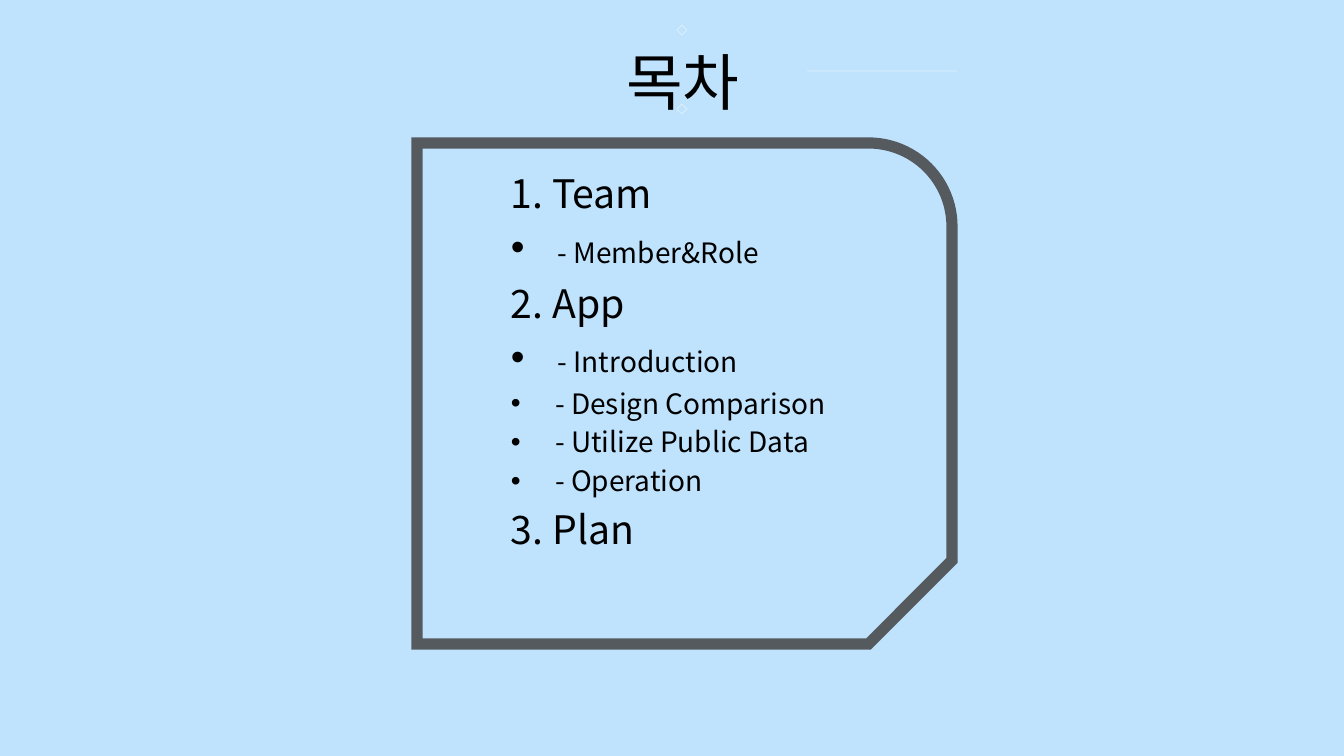
import dataclasses

import lxml.etree
import pptx
import pptx.dml.color
import pptx.enum.shapes
import pptx.enum.text
import pptx.oxml.ns
import pptx.util

SHAPES = pptx.enum.shapes.MSO_SHAPE


@dataclasses.dataclass(frozen=True)
class Theme:
    font: str = "Noto Sans CJK KR"
    background: str = "BFE3FD"
    text: str = "000000"
    frame: str = "3B3838"
    ornament: str = "FFFFFF"
    title_size: int = 44
    heading_size: int = 28
    item_size: int = 20
    line_spacing: float = 1.0
    heading_gap: float = 5.6
    item_gap: float = 3.7


def px(length):
    return pptx.util.Emu(round(length * 914400 / 100.8))


def add_element(parent, tag, **attributes):
    element = lxml.etree.SubElement(parent, pptx.oxml.ns.qn(tag))
    for name, value in attributes.items():
        element.set(name, str(value))
    return element


def color(value):
    return pptx.dml.color.RGBColor.from_string(value)


class ContentsSlide:
    def __init__(self, presentation, theme):
        self.theme = theme
        self.slide = presentation.slides.add_slide(presentation.slide_layouts[5])
        fill = self.slide.background.fill
        fill.solid()
        fill.fore_color.rgb = color(theme.background)

    def style_line(self, line, value, width, opacity):
        line.color.rgb = color(value)
        line.width = pptx.util.Pt(width)
        outline = line.fill._xPr
        solid = outline.find(pptx.oxml.ns.qn("a:solidFill"))
        add_element(solid[0], "a:alpha", val=opacity * 1000)
        add_element(outline, "a:miter", lim=800000)

    def style_paragraph(self, paragraph, size):
        paragraph.line_spacing = self.theme.line_spacing
        font = paragraph.font
        font.name = self.theme.font
        font.size = pptx.util.Pt(size)
        font.color.rgb = color(self.theme.text)
        add_element(font._element, "a:ea", typeface=self.theme.font)

    def title(self, text, left, top, width, height):
        shape = self.slide.shapes.title
        shape.left, shape.top, shape.width, shape.height = map(px, (left, top, width, height))
        frame = shape.text_frame
        frame.text = text
        frame.word_wrap = True
        frame.auto_size = pptx.enum.text.MSO_AUTO_SIZE.NONE
        frame.vertical_anchor = pptx.enum.text.MSO_ANCHOR.TOP
        frame.margin_top = px(5)
        paragraph = frame.paragraphs[0]
        paragraph.alignment = pptx.enum.text.PP_ALIGN.CENTER
        self.style_paragraph(paragraph, self.theme.title_size)

    def outline(self, kind, left, top, width, height, value, weight, opacity, rotation=0):
        shape = self.slide.shapes.add_shape(kind, *map(px, (left, top, width, height)))
        shape.rotation = rotation
        shape.shadow.inherit = False
        shape.fill.background()
        self.style_line(shape.line, value, weight, opacity)

    def rule(self, start, end, top):
        connector = self.slide.shapes.add_connector(
            pptx.enum.shapes.MSO_CONNECTOR.STRAIGHT, px(start), px(top), px(end), px(top))
        self.style_line(connector.line, self.theme.ornament, 0.5, 50)
        add_element(connector._element.spPr, "a:effectLst")

    def bullet(self, paragraph, kind, indent):
        properties = paragraph._p.get_or_add_pPr()
        properties.set("marL", str(px(indent)))
        properties.set("indent", str(-px(indent)))
        if kind == "number":
            add_element(properties, "a:buFont", typeface=self.theme.font)
            add_element(properties, "a:buAutoNum", type="arabicPeriod")
        else:
            add_element(properties, "a:buFont", typeface="Arial")
            add_element(properties, "a:buChar", char="•")

    def contents(self, entries, left, top, width, height):
        theme = self.theme
        frame = self.slide.shapes.add_textbox(*map(px, (left, top, width, height))).text_frame
        frame.word_wrap = True
        for index, (kind, texts) in enumerate(entries):
            paragraph = frame.add_paragraph() if index else frame.paragraphs[0]
            if kind != "heading":
                self.bullet(paragraph, kind, 25 if kind == "number" else 38)
            is_item = kind == "item"
            if index:
                gap = theme.item_gap if is_item else theme.heading_gap
                paragraph.space_before = pptx.util.Pt(gap)
            self.style_paragraph(paragraph, theme.item_size if is_item else theme.heading_size)
            for text in texts:
                run = paragraph.add_run()
                run.text = text
            if kind == "lead item":
                run.font.size = pptx.util.Pt(theme.item_size)


def main():
    presentation = pptx.Presentation()
    presentation.slide_width = px(1344)
    presentation.slide_height = px(756)
    theme = Theme()
    page = ContentsSlide(presentation, theme)
    page.title("목차", 398, 39, 570, 56)
    for top in (25, 104):
        page.outline(SHAPES.DIAMOND, 677, top, 10, 10, theme.ornament, 0.5, 50)
    page.rule(807, 957, 71)
    page.outline(SHAPES.SNIP_ROUND_RECTANGLE, 434, 126, 501, 535, theme.frame, 8, 80, 90)
    page.contents([
        ("number", [" Team"]),
        ("lead item", [" ", "- Member&Role"]),
        ("heading", ["2. App"]),
        ("lead item", [" ", "- Introduction"]),
        ("item", [" - Design Comparison"]),
        ("item", [" - Utilize Public Data"]),
        ("item", [" - Operation"]),
        ("heading", ["3. Plan"]),
    ], 501, 164, 651, 475)
    presentation.save("out.pptx")


if __name__ == "__main__":
    main()
